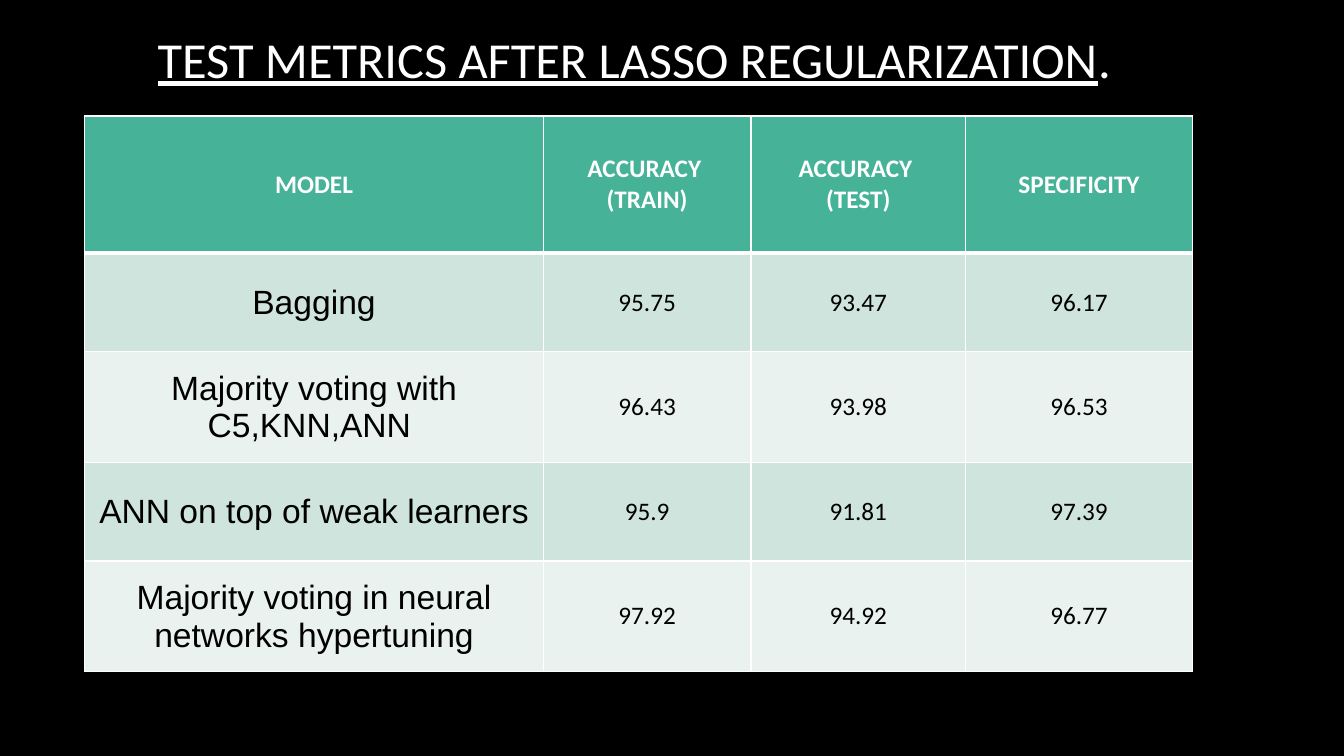
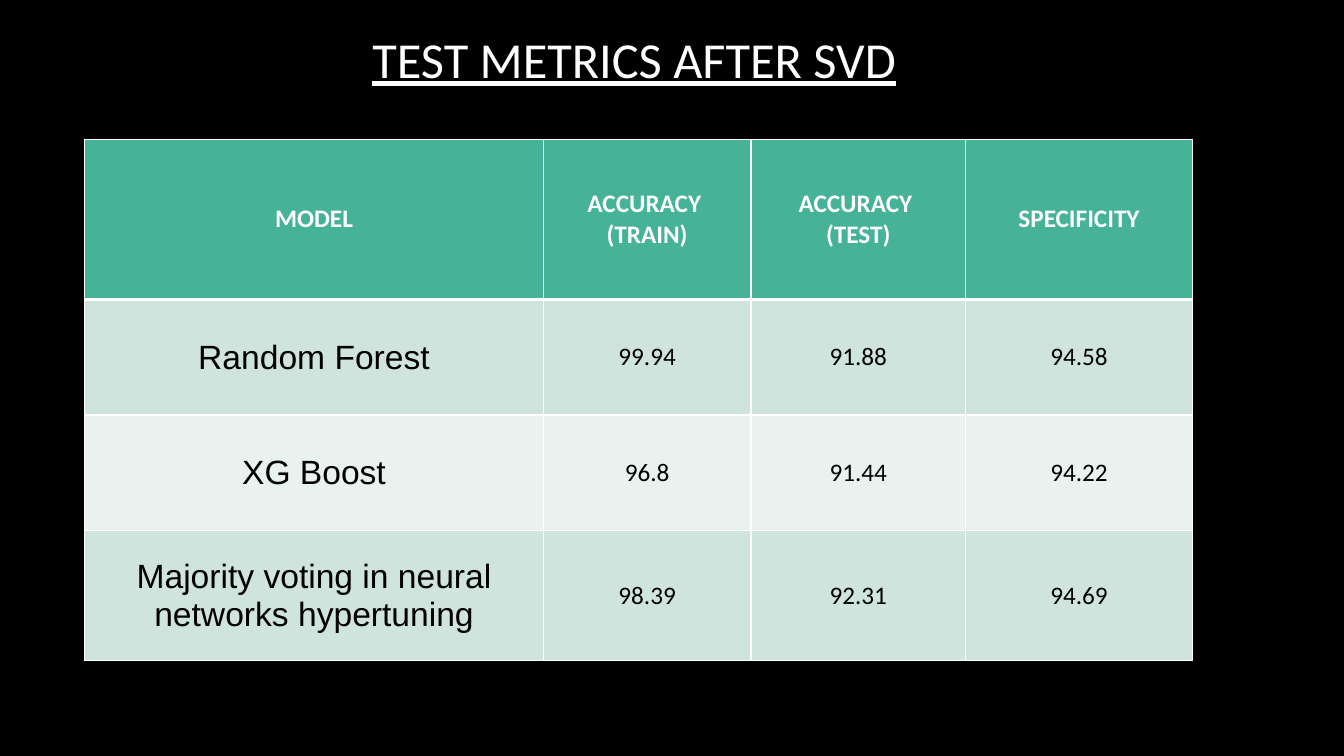
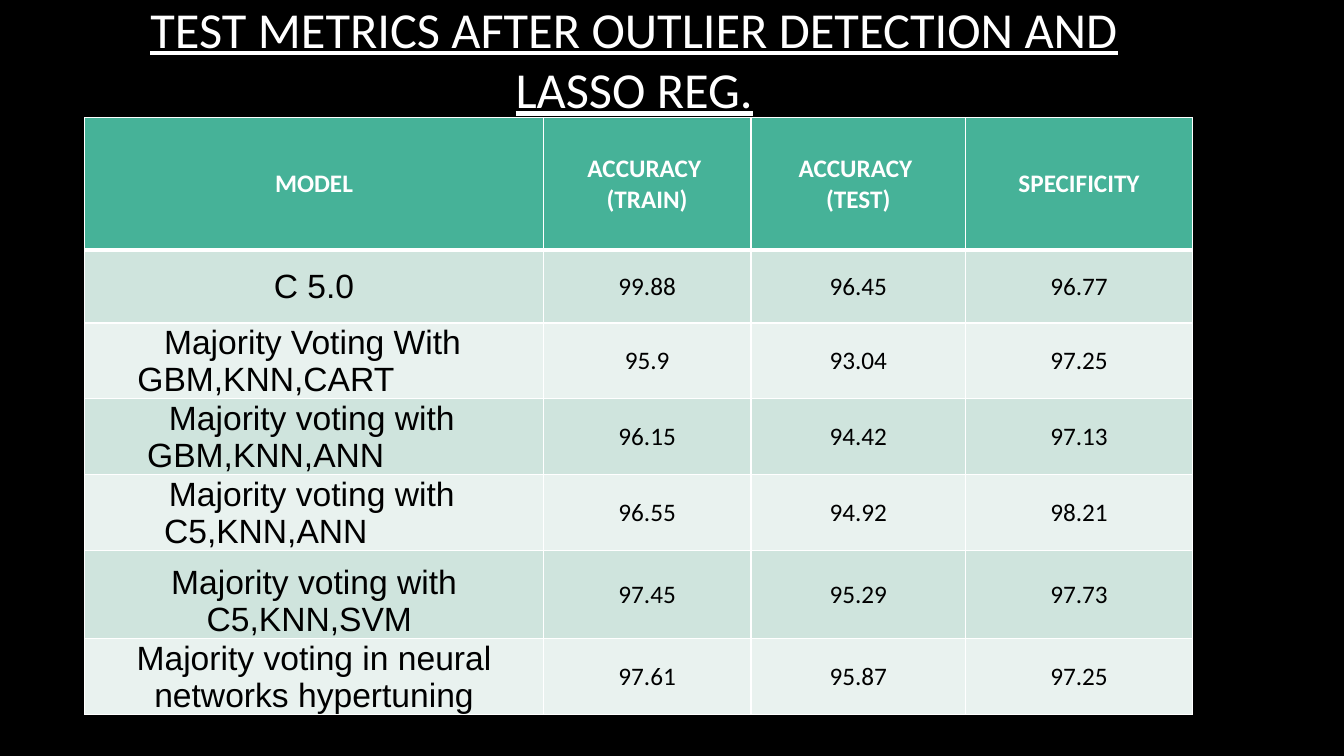
from dataclasses import dataclass

from lxml.etree import SubElement
from pptx import Presentation
from pptx.dml.color import RGBColor
from pptx.enum.text import MSO_ANCHOR, MSO_AUTO_SIZE, PP_ALIGN
from pptx.oxml.ns import qn
from pptx.util import Pt


@dataclass(frozen=True)
class Theme:
    background = RGBColor(0x00, 0x00, 0x00)
    light = RGBColor(0xFF, 0xFF, 0xFF)
    header = RGBColor(0x46, 0xB2, 0x98)
    bands = (RGBColor(0xCF, 0xE4, 0xDD), RGBColor(0xE9, 0xF2, 0xEF))
    title_font = {"name": "Calibri", "size": Pt(36), "bold": False}
    header_font = {"name": "Calibri", "size": Pt(18), "bold": True}
    model_font = {"name": "Arial", "size": Pt(24), "bold": False}
    value_font = {"name": "Calibri", "size": Pt(18), "bold": False}
    thin_border = Pt(1)
    thick_border = Pt(3)


theme = Theme()


def write(paragraph, text, font_format, color, underline=False):
    run = paragraph.add_run()
    run.text = text
    paragraph.alignment = PP_ALIGN.CENTER
    for attribute, value in {**font_format, "underline": underline}.items():
        setattr(run.font, attribute, value)
    run.font.color.rgb = color


def paint(cell, color, top, bottom):
    cell.fill.solid()
    cell.fill.fore_color.rgb = color
    properties = cell._tc.get_or_add_tcPr()
    thin = theme.thin_border
    edges = {"a:lnL": thin, "a:lnR": thin, "a:lnT": top, "a:lnB": bottom}
    for position, (tag, width) in enumerate(edges.items()):
        border = SubElement(properties, qn(tag), w=str(width))
        SubElement(SubElement(border, qn("a:solidFill")), qn("a:srgbClr"), val=str(theme.light))
        properties.insert(position, border)


COLUMN_WIDTHS = (327.6, 148.3, 153.4, 162)
HEADERS = (("MODEL",), ("ACCURACY ", "(TRAIN)"), ("ACCURACY ", "(TEST)"), ("SPECIFICITY",))
MODEL_INSETS = {"margin_left": Pt(0.7), "margin_right": Pt(0.7), "margin_top": Pt(0.7), "margin_bottom": Pt(0)}
TITLE_PLACE = {"left": Pt(54), "top": Pt(-28), "width": Pt(798), "height": Pt(139)}
HYPERTUNING = "Majority voting in neural networks hypertuning"

METRIC_SLIDES = (
    {
        "title": (("TEST METRICS AFTER LASSO REGULARIZATION", True), (".", False)),
        "top": 82.8,
        "heights": (98, 70.5, 79, 70.5, 79),
        "results": (
            ("Bagging", "95.75", "93.47", "96.17"),
            ("Majority voting with C5,KNN,ANN ", "96.43", "93.98", "96.53"),
            ("ANN on top of weak learners", "95.9", "91.81", "97.39"),
            (HYPERTUNING, "97.92", "94.92", "96.77"),
        ),
        "low_rows": (),
        "hanging": {},
    },
    {
        "title": (("TEST METRICS AFTER SVD", True),),
        "top": 99.4,
        "heights": (114.5, 82.5, 82.5, 93),
        "results": (
            ("Random Forest", "99.94", "91.88", "94.58"),
            ("XG Boost", "96.8", "91.44", "94.22"),
            (HYPERTUNING, "98.39", "92.31", "94.69"),
        ),
        "low_rows": (),
        "hanging": {},
    },
    {
        "title": (("TEST METRICS AFTER OUTLIER DETECTION AND LASSO REG.", True),),
        "top": 84.2,
        "heights": (94.5, 52, 54, 54, 54, 63, 54),
        "results": (
            ("C 5.0", "99.88", "96.45", "96.77"),
            ("Majority Voting With GBM,KNN,CART", "95.9", "93.04", "97.25"),
            ("Majority voting with GBM,KNN,ANN", "96.15", "94.42", "97.13"),
            ("Majority voting with C5,KNN,ANN", "96.55", "94.92", "98.21"),
            ("Majority voting with C5,KNN,SVM ", "97.45", "95.29", "97.73"),
            (HYPERTUNING, "97.61", "95.87", "97.25"),
        ),
        "low_rows": (2, 3, 4, 5, 6),
        "hanging": {2: (37, 19), 3: (44, 15.5), 4: (56, 3.5)},
    },
)

deck = Presentation()
deck.slide_width, deck.slide_height = Pt(960), Pt(540)
deck.slide_master.background.fill.solid()
deck.slide_master.background.fill.fore_color.rgb = theme.background

for content in METRIC_SLIDES:
    slide = deck.slides.add_slide(deck.slide_layouts[5])
    title = slide.shapes.title
    for attribute, value in TITLE_PLACE.items():
        setattr(title, attribute, value)
    title.text_frame.auto_size = MSO_AUTO_SIZE.NONE
    title.text_frame.word_wrap = True
    title.text_frame.vertical_anchor = MSO_ANCHOR.MIDDLE
    for text, underline in content["title"]:
        write(title.text_frame.paragraphs[0], text, theme.title_font, theme.light, underline)

    heights = content["heights"]
    metrics = slide.shapes.add_table(
        len(heights), len(COLUMN_WIDTHS),
        Pt(60.5), Pt(content["top"]), Pt(sum(COLUMN_WIDTHS)), Pt(sum(heights)),
    ).table
    for column, width in zip(metrics.columns, COLUMN_WIDTHS):
        column.width = Pt(width)
    for row, height in zip(metrics.rows, heights):
        row.height = Pt(height)

    for column_index, lines in enumerate(HEADERS):
        cell = metrics.cell(0, column_index)
        cell.vertical_anchor = MSO_ANCHOR.MIDDLE
        paint(cell, theme.header, theme.thin_border, theme.thick_border)
        for line_index, line in enumerate(lines):
            paragraph = cell.text_frame.add_paragraph() if line_index else cell.text_frame.paragraphs[0]
            write(paragraph, line, theme.header_font, theme.light)

    for row_index, result in enumerate(content["results"], 1):
        top_border = theme.thick_border if row_index == 1 else theme.thin_border
        for column_index, text in enumerate(result):
            cell = metrics.cell(row_index, column_index)
            paragraph = cell.text_frame.paragraphs[0]
            cell.vertical_anchor = MSO_ANCHOR.MIDDLE
            paint(cell, theme.bands[(row_index - 1) % 2], top_border, theme.thin_border)
            font_format = theme.value_font if column_index else theme.model_font
            write(paragraph, text, font_format, theme.background)
            if column_index:
                continue
            for attribute, value in MODEL_INSETS.items():
                setattr(cell, attribute, value)
            if row_index in content["low_rows"]:
                cell.vertical_anchor = MSO_ANCHOR.BOTTOM
            if row_index in content["hanging"]:
                left_margin, first_indent = content["hanging"][row_index]
                paragraph.alignment = PP_ALIGN.LEFT
                paragraph_format = paragraph._p.get_or_add_pPr()
                paragraph_format.set("marL", str(Pt(left_margin)))
                paragraph_format.set("indent", str(Pt(first_indent)))

deck.save("out.pptx")
